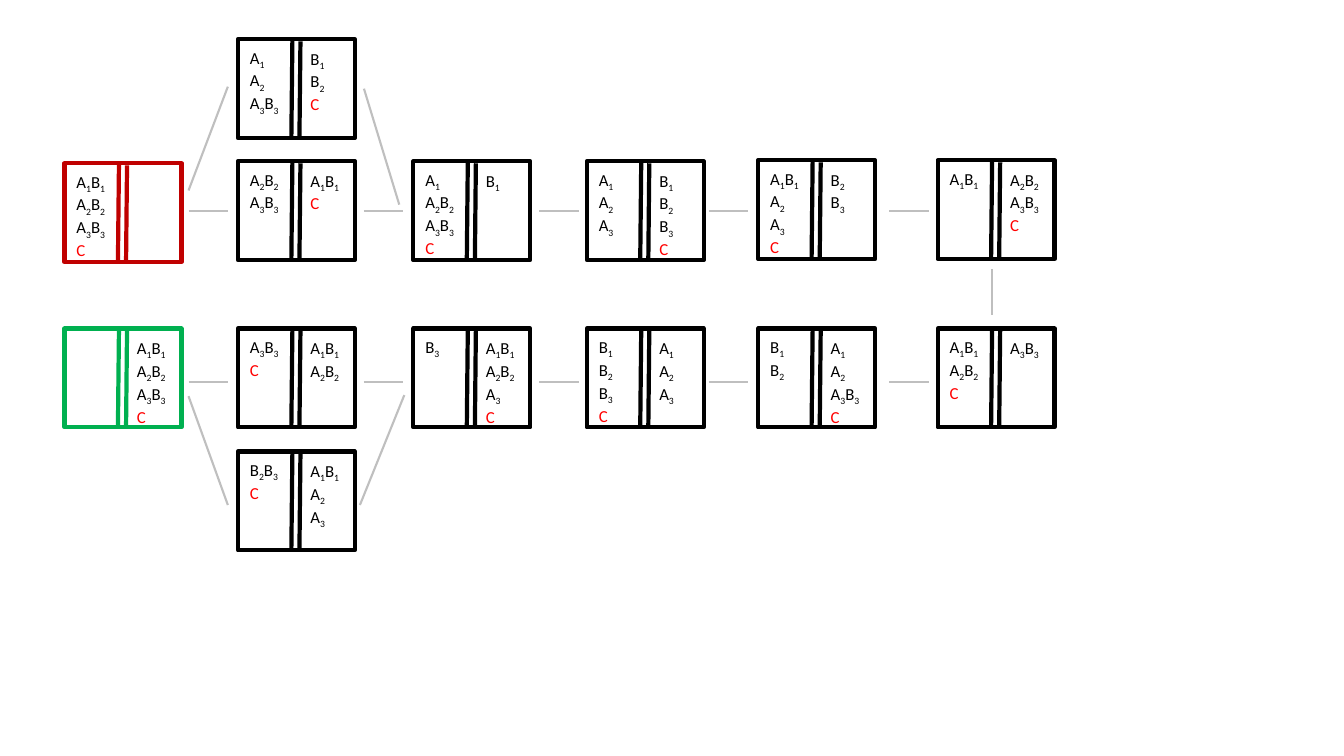
from lxml.etree import SubElement
from pptx import Presentation
from pptx.dml.color import RGBColor
from pptx.enum.shapes import MSO_CONNECTOR as Link, MSO_SHAPE as Shape
from pptx.enum.text import MSO_AUTO_SIZE as Fit
from pptx.oxml.ns import qn
from pptx.util import Inches, Pt

BLACK, RED, GREEN, GREY = "000000", "C00000", "00B050", "BFBFBF"
COLS = [0.64, 2.36, 4.1, 5.82, 7.52, 9.3]
GAPS = [1.87, 3.61, 5.35, 7.03, 8.82]
WIDE, HIGH = 1.16, 0.98

STATES = [
    (0, 1.62, "A1B1 A2B2 A3B3 C", "", RED),
    (1, 1.6, "A2B2 A3B3", "A1B1 C", BLACK),
    (1, 0.39, "A1 A2 A3B3", "B1 B2 C", BLACK),
    (2, 1.6, "A1 A2B2 A3B3 C", "B1", BLACK),
    (3, 1.6, "A1 A2 A3", "B1 B2 B3 C", BLACK),
    (4, 1.59, "A1B1 A2 A3 C", "B2 B3", BLACK),
    (5, 1.59, "A1B1", "A2B2 A3B3 C", BLACK),
    (5, 3.26, "A1B1 A2B2 C", "A3B3", BLACK),
    (4, 3.26, "B1 B2", "A1 A2 A3B3 C", BLACK),
    (3, 3.26, "B1 B2 B3 C", "A1 A2 A3", BLACK),
    (2, 3.26, "B3", "A1B1 A2B2 A3 C", BLACK),
    (1, 3.26, "A3B3 C", "A1B1 A2B2", BLACK),
    (1, 4.48, "B2B3 C", "A1B1 A2 A3", BLACK),
    (0, 3.26, "", "A1B1 A2B2 A3B3 C", GREEN),
]
STEPS = [(x, y, x + 0.39, y) for y in (2.09, 3.79) for x in GAPS] + [
    (1.87, 1.89, 2.26, 0.86),
    (3.96, 2.03, 3.61, 0.88),
    (9.84, 2.67, 9.84, 3.13),
    (1.87, 3.93, 2.26, 5.01),
    (3.57, 5.01, 4.01, 3.92),
]


def color(code):
    """Turn a hex string into a colour."""
    return RGBColor.from_string(code)


def add_line(slide, ends, tint, size):
    """Draw a straight line between two points."""
    line = slide.shapes.add_connector(Link.STRAIGHT, *map(Inches, ends))
    line.line.color.rgb = color(tint)
    line.line.width = Pt(size)
    SubElement(line._element.spPr, qn("a:effectLst"))


def add_bank(slide, box, names):
    """List the people on one bank, with their digits as subscripts."""
    area = slide.shapes.add_textbox(*map(Inches, box))
    frame = area.text_frame
    frame.word_wrap = True
    frame.auto_size = Fit.SHAPE_TO_FIT_TEXT
    frame.text = "\n".join(names)
    for para, name in zip(frame.paragraphs, names):
        para.text = ""
        for char in name:
            run = para.add_run()
            run.text = char
            run.font.name = "Calibri"
            run.font.size = Pt(12)
            run.font.color.rgb = color("FF0000" if char == "C" else BLACK)
            if char.isdigit():
                run._r.get_or_add_rPr().set("baseline", "-25000")


def add_state(slide, left, top, west, east, tint):
    """Draw one state: a frame, a river of two lines and both banks."""
    box = map(Inches, (left, top, WIDE, HIGH))
    frame = slide.shapes.add_shape(Shape.RECTANGLE, *box)
    frame.shadow.inherit = False
    frame.fill.background()
    frame.line.color.rgb = color(tint)
    frame.line.width = Pt(3)
    for dx, dy in ((0.54, 0), (0.62, 0.02)):
        x, y = left + dx, top + dy
        add_line(slide, (x, y, x - 0.01, y + 0.97), tint, 3)
    for text, dx, dy, wide in ((west, 0.02, 0.03, 0.68), (east, 0.62, 0.04, 0.58)):
        names = text.split()
        if names:
            high = 0.1 + 0.2 * len(names)
            add_bank(slide, (left + dx, top + dy, wide, high), names)


def add_graph(slide):
    """Place all states and the steps between them."""
    for col, top, west, east, tint in STATES:
        add_state(slide, COLS[col], top, west, east, tint)
    for ends in STEPS:
        add_line(slide, ends, GREY, 1.5)


deck = Presentation()
deck.slide_width, deck.slide_height = Inches(13.33), Inches(7.5)
add_graph(deck.slides.add_slide(deck.slide_layouts[6]))
deck.save("out.pptx")
